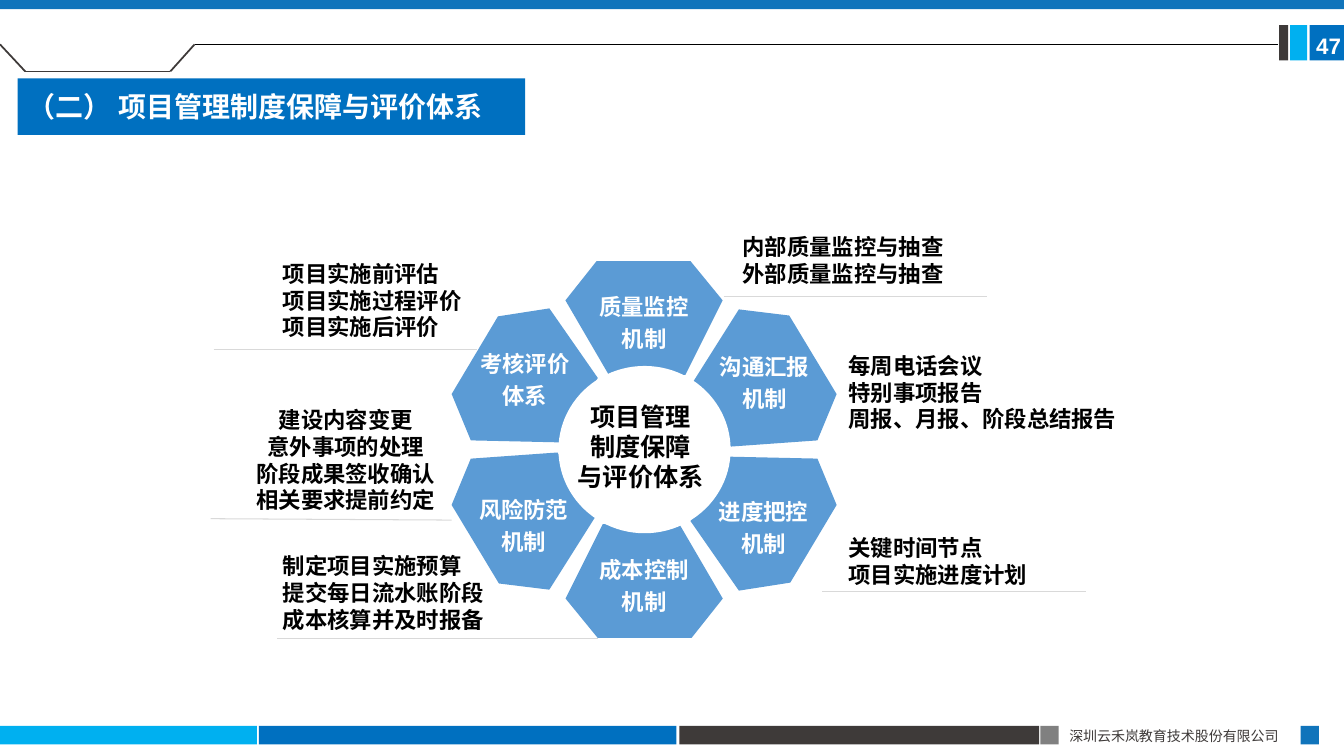
from dataclasses import dataclass

import lxml.etree
import pptx
import pptx.dml.color
import pptx.enum.shapes
import pptx.enum.text
import pptx.oxml.ns
import pptx.shapes.autoshape
import pptx.slide
import pptx.text.text
import pptx.util

Pt = pptx.util.Pt
RGBColor = pptx.dml.color.RGBColor
Align = pptx.enum.text.PP_ALIGN
Anchor = pptx.enum.text.MSO_ANCHOR
qn = pptx.oxml.ns.qn

BLUE = RGBColor(0x00, 0x70, 0xC0)
EDGE_BLUE = RGBColor(0x10, 0x74, 0xBB)
CYAN = RGBColor(0x00, 0xB0, 0xF0)
CHARCOAL = RGBColor(0x3E, 0x3A, 0x39)
GRAY = RGBColor(0x80, 0x80, 0x80)
RULE_GRAY = RGBColor(0xD9, 0xD9, 0xD9)
PETAL_BLUE = RGBColor(0x5B, 0x9B, 0xD5)
WHITE = RGBColor(0xFF, 0xFF, 0xFF)
BLACK = RGBColor(0x00, 0x00, 0x00)

CJK_FONT = "Noto Sans CJK SC"
LINE_FACTOR = 1.19
WHEEL_CENTER = (460.1, 321.1)
Point = tuple[float, float]


@dataclass
class Bar:
    left: float
    top: float
    width: float
    height: float
    color: RGBColor


@dataclass
class Rule:
    start: Point
    end: Point
    color: RGBColor = RULE_GRAY
    weight: float = 0.75


@dataclass
class Petal:
    text: str
    opposite_text: str
    outline: list[Point]


@dataclass
class Label:
    left: float
    top: float
    width: float
    height: float
    text: str
    size: float = 16
    align: Align = Align.LEFT
    color: RGBColor = BLACK
    bold: bool = True
    wrap: bool = False
    font: str = CJK_FONT


FOOTER_Y, FOOTER_HEIGHT = 518.5, 13.2
BARS = [
    # Footer
    Bar(0, FOOTER_Y, 183.6, FOOTER_HEIGHT, CYAN),
    Bar(185, FOOTER_Y, 298.2, FOOTER_HEIGHT, BLUE),
    Bar(485.3, FOOTER_Y, 257, FOOTER_HEIGHT, CHARCOAL),
    Bar(743.2, FOOTER_Y, 13, FOOTER_HEIGHT, GRAY),
    Bar(929, FOOTER_Y, 13, FOOTER_HEIGHT, EDGE_BLUE),
    # Page number and top edge
    Bar(935.5, 18, 24.5, 25.2, BLUE),
    Bar(921.6, 18, 12.2, 25.2, CYAN),
    Bar(913.7, 18, 6.5, 25.2, CHARCOAL),
    Bar(0, 0, 960, 6.5, EDGE_BLUE),
]

TAB_POINTS = [(0, 31.7), (18, 51), (121.7, 51), (139, 31.7)]
HEADER_RULES = [Rule(start, end, CHARCOAL, 1.25)
                for start, end in zip(TAB_POINTS, TAB_POINTS[1:])]
HEADER_RULES.append(Rule((139, 31.7), (913, 31.7), BLACK, 0.5))

LABEL_RULES = [
    Rule((517, 211.7), (705, 211.7)),
    Rule((587.5, 422.6), (775.5, 422.6)),
    Rule((150.5, 370.5), (322.6, 371.5)),
    Rule((198, 455.8), (427, 455.8)),
    Rule((152.6, 249.8), (340.6, 249.8)),
]

# Each petal has a twin turned half a circle about the wheel's centre
PETALS = [
    Petal("质量监控\n机制", "成本控制\n机制",
          [(426.2, 186.5), (493.2, 186.5), (516.2, 214.6),
           (489.6, 267.8), (434.9, 267.8), (403.9, 214.6)]),
    Petal("沟通汇报\n机制", "风险防范\n机制",
          [(527.8, 221), (563.8, 225.4), (597.6, 281.5),
           (583.9, 314.6), (522, 319), (494.6, 273.6)]),
    Petal("进度把控\n机制", "考核评价\n体系",
          [(520.6, 326.2), (583.9, 327.6), (597.6, 360.7),
           (564.5, 416.2), (527.8, 421.9), (493.2, 372.2)]),
]

LABELS = [
    Label(391.7, 282.2, 131.8, 78.5, "项目管理\n制度保障\n与评价体系", 18, Align.CENTER, wrap=True),
    Label(523.4, 162, 165, 67.7, "内部质量监控与抽查\n外部质量监控与抽查", wrap=True),
    Label(599, 247, 207.4, 85, "每周电话会议\n特别事项报告\n周报、月报、阶段总结报告", wrap=True),
    Label(599, 377.3, 144, 65.5, "关键时间节点\n项目实施进度计划"),
    Label(175, 285.8, 144, 104.4,
          "建设内容变更\n意外事项的处理\n阶段成果签收确认\n相关要求提前约定", align=Align.CENTER),
    Label(195, 390.2, 160, 65.5, "制定项目实施预算\n提交每日流水账阶段\n成本核算并及时报备"),
    Label(195, 181.4, 144, 85, "项目实施前评估\n项目实施过程评价\n项目实施后评价"),
    Label(756.7, 515.5, 172.8, 19.4, "深圳云禾岚教育技术股份有限公司", 10,
          color=CHARCOAL, bold=False, wrap=True),
    Label(933, 18.7, 27, 26.6, "47", color=WHITE, font="Arial"),
]


def format_text(text_frame: pptx.text.text.TextFrame, text: str, size: float,
                color: RGBColor, align: Align, bold: bool = True,
                font: str = CJK_FONT, spacing: float = 1) -> None:
    text_frame.text = text
    for paragraph in text_frame.paragraphs:
        paragraph.alignment = align
        paragraph.line_spacing = Pt(size * LINE_FACTOR * spacing)
        for run in paragraph.runs:
            run.font.size = Pt(size)
            run.font.bold = bold
            run.font.color.rgb = color
            run.font.name = font
            east_asian = lxml.etree.SubElement(run._r.get_or_add_rPr(), qn("a:ea"))
            east_asian.set("typeface", CJK_FONT)


def paint(shape: pptx.shapes.autoshape.Shape, color: RGBColor) -> None:
    shape.shadow.inherit = False
    shape.fill.solid()
    shape.fill.fore_color.rgb = color
    shape.line.fill.background()


def draw_bar(slide: pptx.slide.Slide, bar: Bar,
             kind: pptx.enum.shapes.MSO_SHAPE = pptx.enum.shapes.MSO_SHAPE.RECTANGLE,
             ) -> pptx.shapes.autoshape.Shape:
    shape = slide.shapes.add_shape(kind, Pt(bar.left), Pt(bar.top), Pt(bar.width), Pt(bar.height))
    paint(shape, bar.color)
    return shape


def draw_rule(slide: pptx.slide.Slide, rule: Rule) -> None:
    connector = slide.shapes.add_connector(
        pptx.enum.shapes.MSO_CONNECTOR.STRAIGHT, *map(Pt, rule.start + rule.end))
    connector.line.color.rgb = rule.color
    connector.line.width = Pt(rule.weight)
    lxml.etree.SubElement(connector._element.spPr, qn("a:effectLst"))


def draw_petal(slide: pptx.slide.Slide, text: str, outline: list[Point]) -> None:
    corners = [(Pt(x), Pt(y)) for x, y in outline]
    builder = slide.shapes.build_freeform(*corners[0])
    builder.add_line_segments(corners[1:], close=True)
    shape = builder.convert_to_shape()
    paint(shape, PETAL_BLUE)
    shape.text_frame.vertical_anchor = Anchor.MIDDLE
    shape.text_frame.margin_top = Pt(6)
    format_text(shape.text_frame, text, 16, WHITE, Align.CENTER, spacing=1.2)


def draw_label(slide: pptx.slide.Slide, label: Label) -> None:
    box = slide.shapes.add_textbox(Pt(label.left), Pt(label.top), Pt(label.width), Pt(label.height))
    box.text_frame.word_wrap = label.wrap
    box.text_frame.margin_top = Pt(4.6)
    if label.font == "Arial":
        box.text_frame.margin_right = 0
    format_text(box.text_frame, label.text, label.size, label.color,
                label.align, label.bold, label.font)


def main() -> None:
    presentation = pptx.Presentation()
    presentation.slide_width, presentation.slide_height = Pt(960), Pt(540)
    slide = presentation.slides.add_slide(presentation.slide_layouts[6])

    # Frame and title
    for bar in BARS:
        draw_bar(slide, bar)
    for rule in HEADER_RULES:
        draw_rule(slide, rule)
    title = draw_bar(slide, Bar(12.6, 56, 362.6, 40.4, BLUE))
    title.text_frame.vertical_anchor = Anchor.MIDDLE
    format_text(title.text_frame, "（二） 项目管理制度保障与评价体系", 20, WHITE,
                Align.LEFT, font="Calibri")

    # Wheel
    center_x, center_y = WHEEL_CENTER
    for petal in PETALS:
        draw_petal(slide, petal.text, petal.outline)
        turned = [(2 * center_x - x, 2 * center_y - y) for x, y in petal.outline]
        draw_petal(slide, petal.opposite_text, turned)
    draw_bar(slide, Bar(398.9, 261.4, 123, 119.5, WHITE), pptx.enum.shapes.MSO_SHAPE.OVAL)

    # Rules and labels
    for rule in LABEL_RULES:
        draw_rule(slide, rule)
    for label in LABELS:
        draw_label(slide, label)

    presentation.save("out.pptx")


if __name__ == "__main__":
    main()
